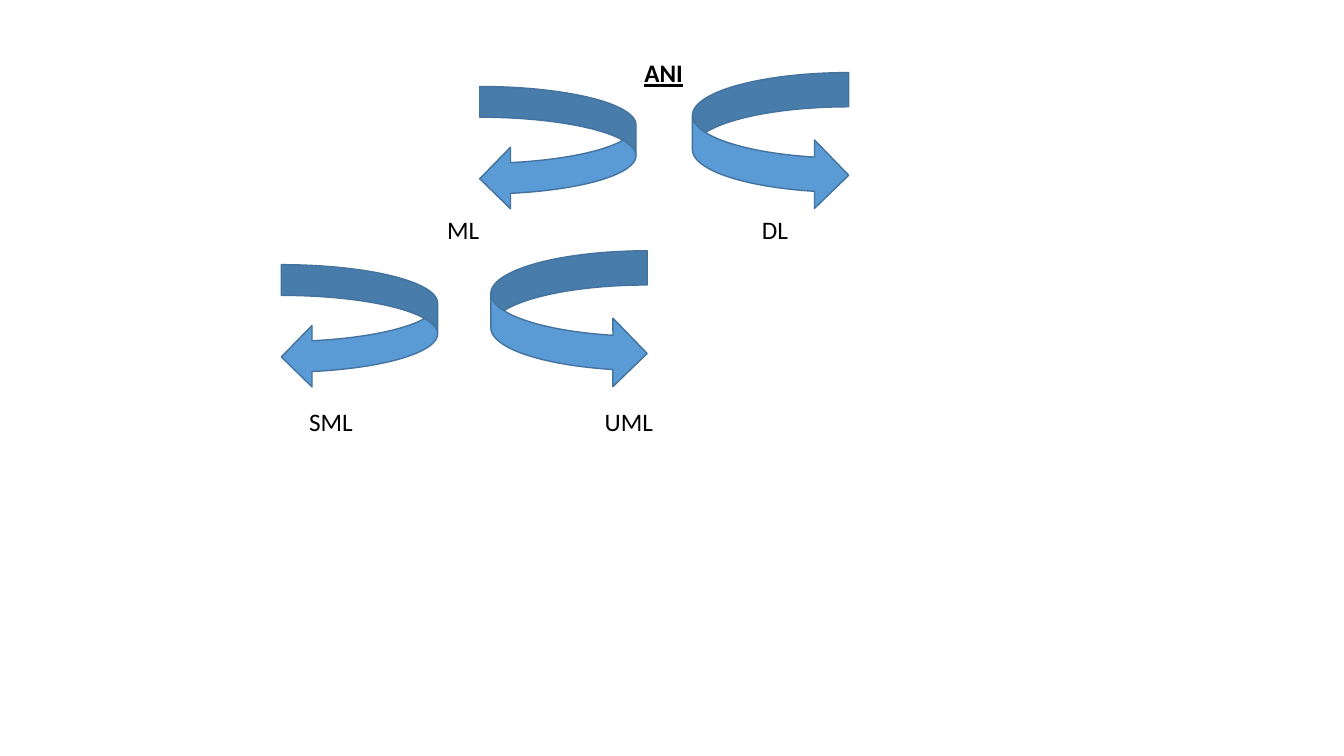
import pptx
import pptx.util
import pptx.dml.color
import pptx.enum.shapes
import pptx.enum.text

Cm = pptx.util.Cm
ARROWS = pptx.enum.shapes.MSO_SHAPE
ALIGN = pptx.enum.text.PP_ALIGN

COLORS = {"text": "000000", "arrow": "5B9BD5", "outline": "43739E"}
LABEL_HEIGHT = 1.02
ARROW_WIDTH = 3.94


def color(name):
    return pptx.dml.color.RGBColor.from_string(COLORS[name])


class TreeSlide:
    """Holds the text style and the slide being drawn."""

    font_format = {"name": "Calibri", "size": pptx.util.Pt(18)}
    frame_format = {
        "word_wrap": True,
        "auto_size": pptx.enum.text.MSO_AUTO_SIZE.SHAPE_TO_FIT_TEXT,
        "vertical_anchor": pptx.enum.text.MSO_ANCHOR.TOP,
    }

    def __init__(self, presentation):
        self.slide = presentation.slides.add_slide(presentation.slide_layouts[5])

    def set_text(self, shape, text, alignment, **extra_format):
        frame = shape.text_frame
        for name, value in self.frame_format.items():
            setattr(frame, name, value)
        paragraph = frame.paragraphs[0]
        paragraph.alignment = alignment
        run = paragraph.add_run()
        run.text = text
        for name, value in {**self.font_format, **extra_format}.items():
            setattr(run.font, name, value)
        run.font.color.rgb = color("text")

    def title(self, text, left, top, width):
        shape = self.slide.shapes.title
        place = {"left": left, "top": top, "width": width, "height": LABEL_HEIGHT}
        for name, value in place.items():
            setattr(shape, name, Cm(value))
        self.set_text(shape, text, ALIGN.CENTER, bold=True, underline=True)

    def label(self, text, left, top, width):
        shape = self.slide.shapes.add_textbox(
            Cm(left), Cm(top), Cm(width), Cm(LABEL_HEIGHT))
        self.set_text(shape, text, ALIGN.LEFT)

    def arrow(self, kind, left, bottom, height):
        shape = self.slide.shapes.add_shape(
            kind, Cm(left), Cm(bottom - height), Cm(ARROW_WIDTH), Cm(height))
        shape.shadow.inherit = False
        shape.fill.solid()
        shape.fill.fore_color.rgb = color("arrow")
        shape.line.color.rgb = color("outline")
        shape.line.width = pptx.util.Pt(1)

    def branch(self, left_arrow, right_arrow, bottom):
        self.arrow(ARROWS.CURVED_LEFT_ARROW, left_arrow, bottom, 3.1)
        self.arrow(ARROWS.CURVED_RIGHT_ARROW, right_arrow, bottom, 3.45)


def main():
    presentation = pptx.Presentation()
    presentation.slide_width = Cm(33.87)
    presentation.slide_height = Cm(19.05)
    tree = TreeSlide(presentation)

    # Root
    tree.title("ANI", 14.53, 1.32, 4.39)

    # First split
    tree.branch(12.09, 17.45, bottom=5.28)
    tree.label("ML", 11.02, 5.28, 4.14)
    tree.label("DL", 18.95, 5.28, 3.02)

    # Second split
    tree.branch(7.09, 12.37, bottom=9.77)
    tree.label("SML", 7.54, 10.11, 2.21)
    tree.label("UML", 14.99, 10.11, 3.56)

    presentation.save("out.pptx")


if __name__ == "__main__":
    main()
